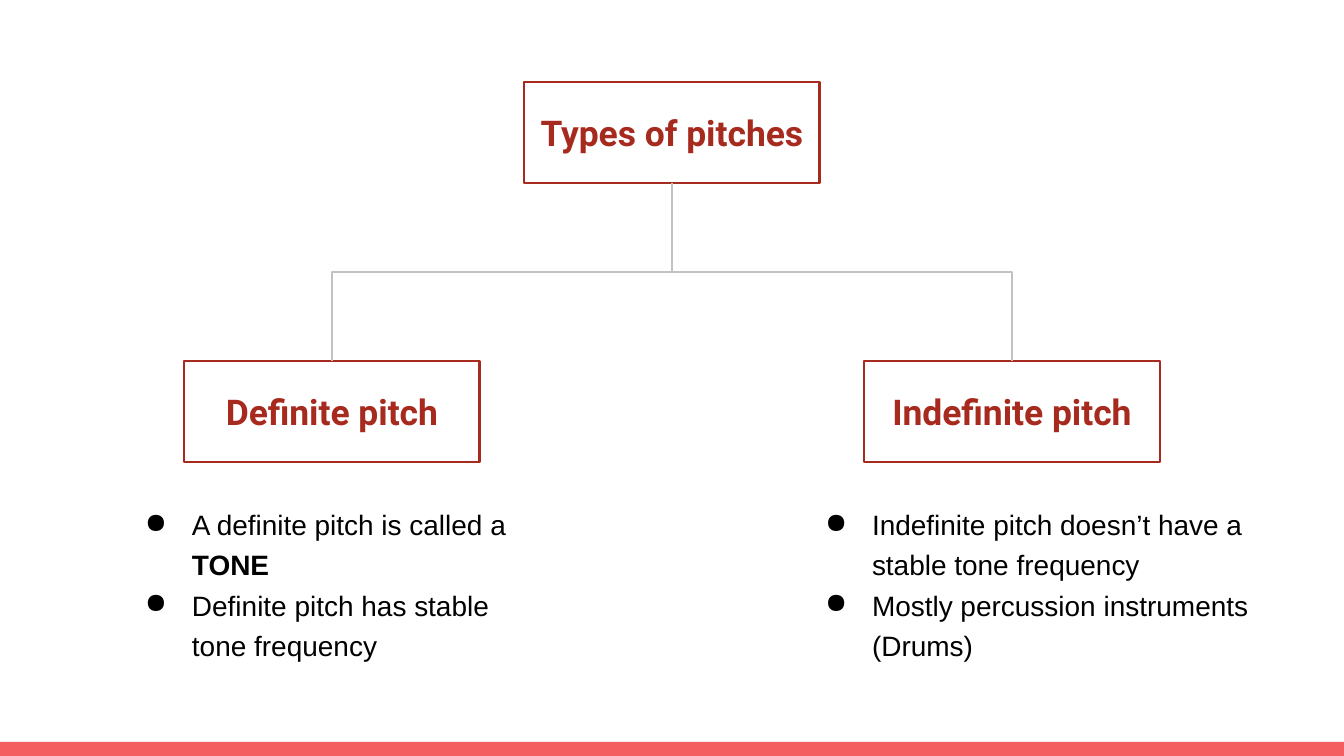
from lxml import etree
from pptx import Presentation
from pptx.dml.color import RGBColor
from pptx.enum.shapes import MSO_CONNECTOR, MSO_SHAPE
from pptx.enum.text import MSO_ANCHOR, PP_ALIGN
from pptx.oxml.ns import qn
from pptx.util import Pt

RECT = MSO_SHAPE.RECTANGLE
ELBOW = MSO_CONNECTOR.ELBOW
MIDDLE = MSO_ANCHOR.MIDDLE
CENTER = PP_ALIGN.CENTER

PX = 914400 / 134.4
THEME = {
    "bar": RGBColor.from_string("F55E61"),
    "box": RGBColor.from_string("A72A1E"),
    "link": RGBColor.from_string("C2C2C2"),
    "text": RGBColor.from_string("000000"),
    "head": {"name": "Roboto", "size": Pt(19), "bold": True},
    "body": {"name": "Arial", "size": Pt(15)},
    "line": Pt(1.5),
}


def px(*vals):
    """Turn pixel lengths into EMU."""
    return [round(val * PX) for val in vals]


def style(item, color, **vals):
    for key, val in vals.items():
        setattr(item, key, val)
    item.color.rgb = color


deck = Presentation()
deck.slide_width, deck.slide_height = px(1344, 756)
slide = deck.slides.add_slide(deck.slide_layouts[6])
shapes = slide.shapes
PAD = dict.fromkeys(
    ["margin_left", "margin_right", "margin_top", "margin_bottom"], px(13)[0])

# Bar along the foot of the slide
bar = shapes.add_shape(RECT, *px(0, 742, 1344, 14))
bar.shadow.inherit = False
bar.fill.solid()
bar.fill.fore_color.rgb = THEME["bar"]
bar.line.fill.background()

# Title boxes: the root first, then its two kinds
boxes = []
for label, left, top in [
    ("Types of pitches", 524, 82),
    ("Definite pitch", 184, 361),
    ("Indefinite pitch", 864, 361),
]:
    box = shapes.add_shape(RECT, *px(left, top, 296, 101))
    box.shadow.inherit = False
    box.fill.background()
    style(box.line, THEME["box"], width=THEME["line"])
    frame = box.text_frame
    for key, val in {**PAD, "word_wrap": True, "vertical_anchor": MIDDLE}.items():
        setattr(frame, key, val)
    para = frame.paragraphs[0]
    para.text = label
    para.alignment = CENTER
    style(para.font, THEME["box"], **THEME["head"])
    boxes.append(box)

# Elbow links, turned a quarter so that they leave the root downwards
root, *kinds = boxes
for kind in kinds:
    link = shapes.add_connector(ELBOW, 0, 0, 0, 0)
    link.begin_connect(root, 2)
    link.end_connect(kind, 0)
    wide = link.end_x - link.begin_x
    tall = link.end_y - link.begin_y
    mid_x = link.begin_x + wide // 2
    mid_y = link.begin_y + tall // 2
    ends = {
        "begin_x": mid_x - tall // 2, "begin_y": mid_y + wide // 2,
        "end_x": mid_x + tall // 2, "end_y": mid_y - wide // 2,
    }
    for key, val in ends.items():
        setattr(link, key, val)
    props = link._element.spPr
    props.find(qn("a:xfrm")).set("rot", str(90 * 60000))
    style(link.line, THEME["link"], width=THEME["line"])
    etree.SubElement(props, qn("a:effectLst"))

# Bullet lists; each point is a list of (text, bold) runs
notes = [
    (112, 441, [
        [("A definite pitch is called a ", False), ("TONE", True)],
        [("Definite pitch has stable tone frequency", False)],
    ]),
    (792, 515, [
        [("Indefinite pitch doesn’t have a stable tone frequency", False)],
        [("Mostly percussion instruments (Drums)", False)],
    ]),
]
INDENT, HANG = px(67, -47)
for left, width, points in notes:
    frame = shapes.add_textbox(*px(left, 488, width, 183)).text_frame
    for key, val in {**PAD, "word_wrap": True}.items():
        setattr(frame, key, val)
    for num, point in enumerate(points):
        para = frame.add_paragraph() if num else frame.paragraphs[0]
        para.line_spacing = 1.2
        props = para._p.get_or_add_pPr()
        props.set("marL", str(INDENT))
        props.set("indent", str(HANG))
        tint = etree.SubElement(props, qn("a:buClr"))
        etree.SubElement(tint, qn("a:srgbClr"), val=str(THEME["text"]))
        etree.SubElement(props, qn("a:buChar"), char="●")
        for words, bold in point:
            run = para.add_run()
            run.text = words
            style(run.font, THEME["text"], bold=bold, **THEME["body"])

deck.save("out.pptx")
